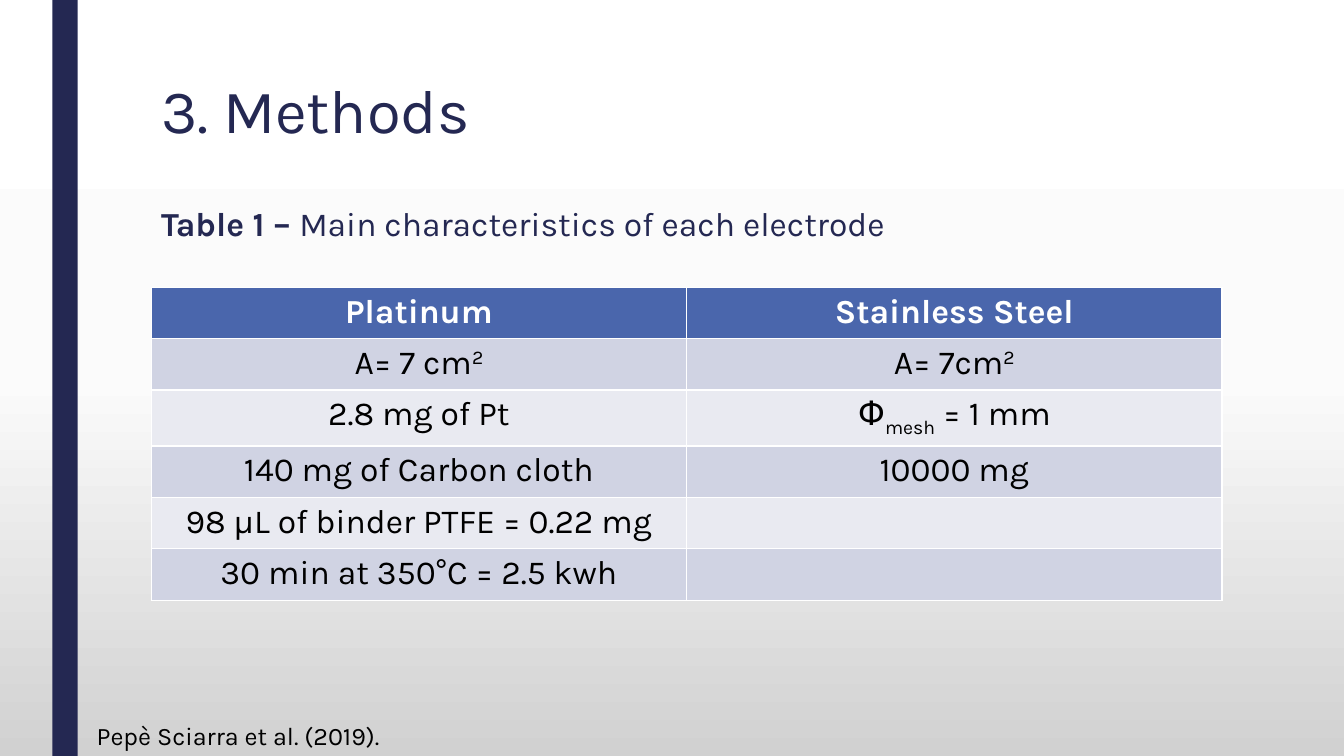
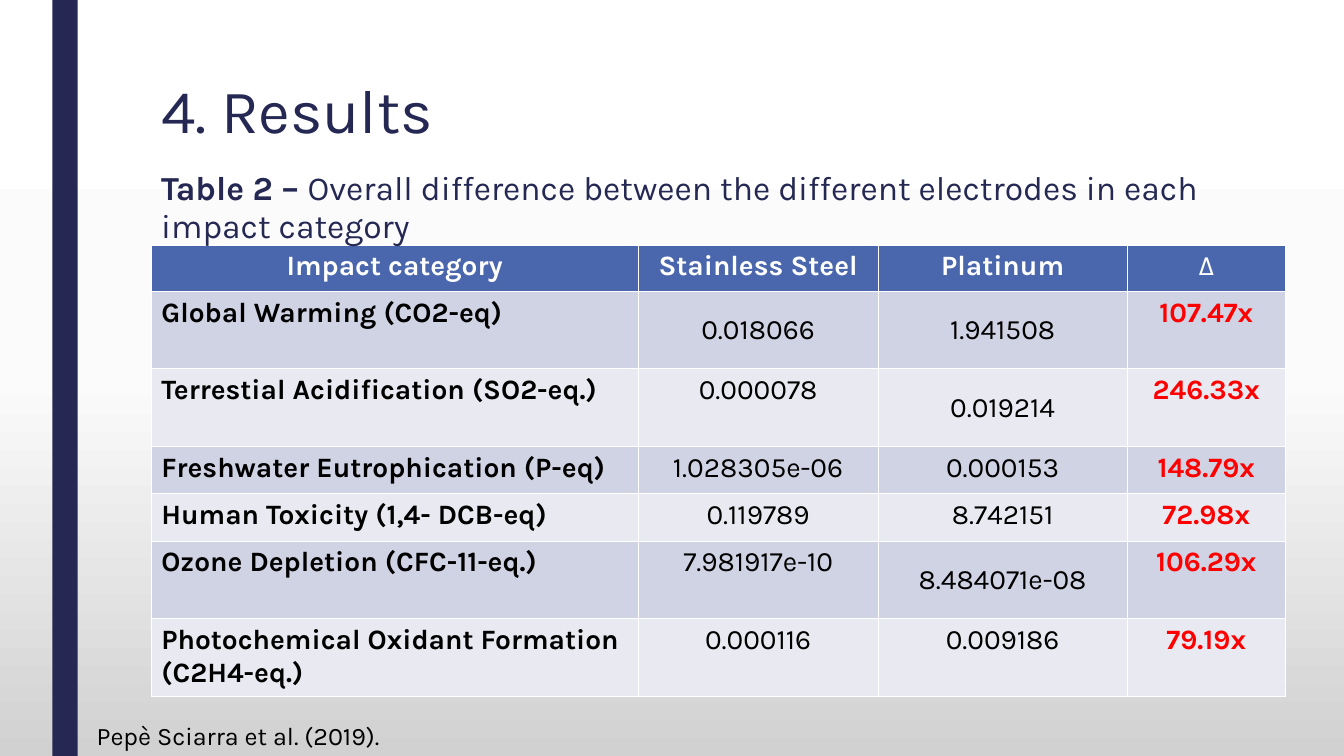
from copy import deepcopy
from dataclasses import dataclass

from pptx import Presentation
from pptx.dml.color import RGBColor
from pptx.enum import shapes, text
from pptx.oxml.ns import qn
from pptx.util import Inches, Pt


@dataclass(frozen=True)
class Theme:
    font: str = "Karla"
    navy: str = "242852"
    header: str = "4A66AC"
    bands: tuple = ("D0D3E3", "E9EAF1")
    white: str = "FFFFFF"
    black: str = "000000"
    red: str = "FF0000"
    backdrop: tuple = ((0, "FFFFFF"), (0.5, "FBFBFB"), (1, "D1D1D1"))
    title_size: int = 44
    text_size: int = 24
    small_size: int = 20
    source_size: int = 18


@dataclass(frozen=True)
class Span:
    text: str
    bold: bool = False
    baseline: int = 0


THEME = Theme()
SLIDE_WIDTH, SLIDE_HEIGHT = 13.33, 7.5
LEFT = 1.5
SOURCE = "Pepè Sciarra et al. (2019)."
SQUARED = Span("2", baseline=30)

ELECTRODES = [
    ["Platinum", "Stainless Steel"],
    [[Span("A= 7 cm"), SQUARED], [Span("A= 7cm"), SQUARED]],
    ["2.8 mg of Pt", [Span("Փ"), Span("mesh", baseline=-25), Span(" = 1 mm")]],
    ["140 mg of Carbon cloth", "10000 mg"],
    ["98 μL of binder PTFE = 0.22 mg", ""],
    ["30 min at 350°C = 2.5 kwh", ""],
]

IMPACTS = [
    ["Impact category", "Stainless Steel", "Platinum", [Span("Δ")]],
    ["Global Warming (CO2-eq)", "0.018066", "1.941508", "107.47x"],
    ["Terrestial Acidification (SO2-eq.)", "0.000078", "0.019214", "246.33x"],
    ["Freshwater Eutrophication (P-eq)", "1.028305e-06", "0.000153", "148.79x"],
    ["Human Toxicity (1,4- DCB-eq)", "0.119789", "8.742151", "72.98x"],
    ["Ozone Depletion (CFC-11-eq.)", "7.981917e-10", "8.484071e-08", "106.29x"],
    ["Photochemical Oxidant Formation (C2H4-eq.)", "0.000116", "0.009186", "79.19x"],
]
CENTRED_IMPACTS = {(1, 1), (1, 2), (2, 2), (5, 2)}


def rgb(colour):
    return RGBColor.from_string(colour)


def write(frame, content, size, colour, bold=False):
    """Fill the first paragraph with a string or a list of spans."""
    para = frame.paragraphs[0]
    para.font.name = THEME.font
    para.font.size = Pt(size)
    spans = [Span(content, bold)] if isinstance(content, str) else content
    for span in spans:
        if not span.text:
            continue
        run = para.add_run()
        run.text = span.text
        run.font.bold = span.bold
        run.font.color.rgb = rgb(colour)
        if span.baseline:
            run.font._element.set("baseline", str(span.baseline * 1000))
    return para


def add_text(page, box, content, size, colour):
    frame = page.shapes.add_textbox(*map(Inches, box)).text_frame
    frame.word_wrap = True
    return write(frame, content, size, colour)


def set_backdrop(master):
    fill = master.background.fill
    fill.gradient()
    fill.gradient_angle = 270
    stop_list = master.element.find(".//" + qn("a:gsLst"))
    stop_list.insert(1, deepcopy(stop_list[0]))
    for stop, (position, colour) in zip(fill.gradient_stops, THEME.backdrop):
        stop.position = position
        stop.color.rgb = rgb(colour)


def add_page(deck, title):
    """Add a page with the side band, title and source line."""
    page = deck.slides.add_slide(deck.slide_layouts[6])
    band = page.shapes.add_shape(
        shapes.MSO_SHAPE.RECTANGLE, Inches(0.52), 0, Inches(0.25), Inches(SLIDE_HEIGHT))
    band.shadow.inherit = False
    band.fill.solid()
    band.fill.fore_color.rgb = rgb(THEME.navy)
    band.line.fill.background()
    heading = add_text(page, (LEFT, 0.75, 10.5, 1.62), title, THEME.title_size, THEME.navy)
    heading.line_spacing = 0.89
    add_text(page, (0.86, 7.1, 3.07, 0.4), SOURCE, THEME.source_size, THEME.black)
    return page


def add_caption(page, box, label, caption):
    spans = [Span(f"{label} – ", bold=True), Span(caption)]
    para = add_text(page, box, spans, THEME.text_size, THEME.navy)
    para.line_spacing = 0.94
    para.space_before, para.space_after = Pt(10), Pt(2)


def add_grid(page, corner, widths, heights, rows, size, styles, centred=()):
    """Add a banded table; styles gives each column's alignment, colour and weight."""
    left, top = corner
    table = page.shapes.add_table(
        len(rows), len(widths), Inches(left), Inches(top),
        Inches(sum(widths)), Inches(sum(heights))).table
    for column, width in zip(table.columns, widths):
        column.width = Inches(width)
    for row, height in zip(table.rows, heights):
        row.height = Inches(height)
    for r, row in enumerate(rows):
        for c, content in enumerate(row):
            align, colour, bold = styles[c]
            fill = THEME.bands[(r - 1) % 2]
            if r == 0:
                align, colour, bold = text.PP_ALIGN.CENTER, THEME.white, True
                fill = THEME.header
            cell = table.cell(r, c)
            cell.fill.solid()
            cell.fill.fore_color.rgb = rgb(fill)
            if (r, c) in centred:
                cell.vertical_anchor = text.MSO_ANCHOR.MIDDLE
            write(cell.text_frame, content, size, colour, bold).alignment = align


def add_methods(deck):
    page = add_page(deck, "3. Methods")
    plain = (text.PP_ALIGN.CENTER, THEME.black, False)
    add_grid(page, (LEFT, 2.85), [5.31] * 2, [0.51] * 6, ELECTRODES,
             THEME.text_size, [plain] * 2)
    add_caption(page, (LEFT, 2, 10.5, 4.42), "Table 1",
                "Main characteristics of each electrode")


def add_results(deck):
    page = add_page(deck, "4. Results")
    name = (text.PP_ALIGN.LEFT, THEME.black, True)
    value = (text.PP_ALIGN.CENTER, THEME.black, False)
    ratio = (text.PP_ALIGN.CENTER, THEME.red, True)
    add_grid(page, (LEFT, 2.43), [4.83, 2.38, 2.47, 1.57],
             [0.46, 0.77, 0.77, 0.47, 0.47, 0.77, 0.77], IMPACTS,
             THEME.small_size, [name, value, value, ratio], CENTRED_IMPACTS)
    add_caption(page, (LEFT, 1.64, 11.24, 4.42), "Table 2",
                "Overall difference between the different electrodes in each impact category")


def main():
    deck = Presentation()
    deck.slide_width, deck.slide_height = Inches(SLIDE_WIDTH), Inches(SLIDE_HEIGHT)
    set_backdrop(deck.slide_master)
    add_methods(deck)
    add_results(deck)
    deck.save("out.pptx")


if __name__ == "__main__":
    main()
